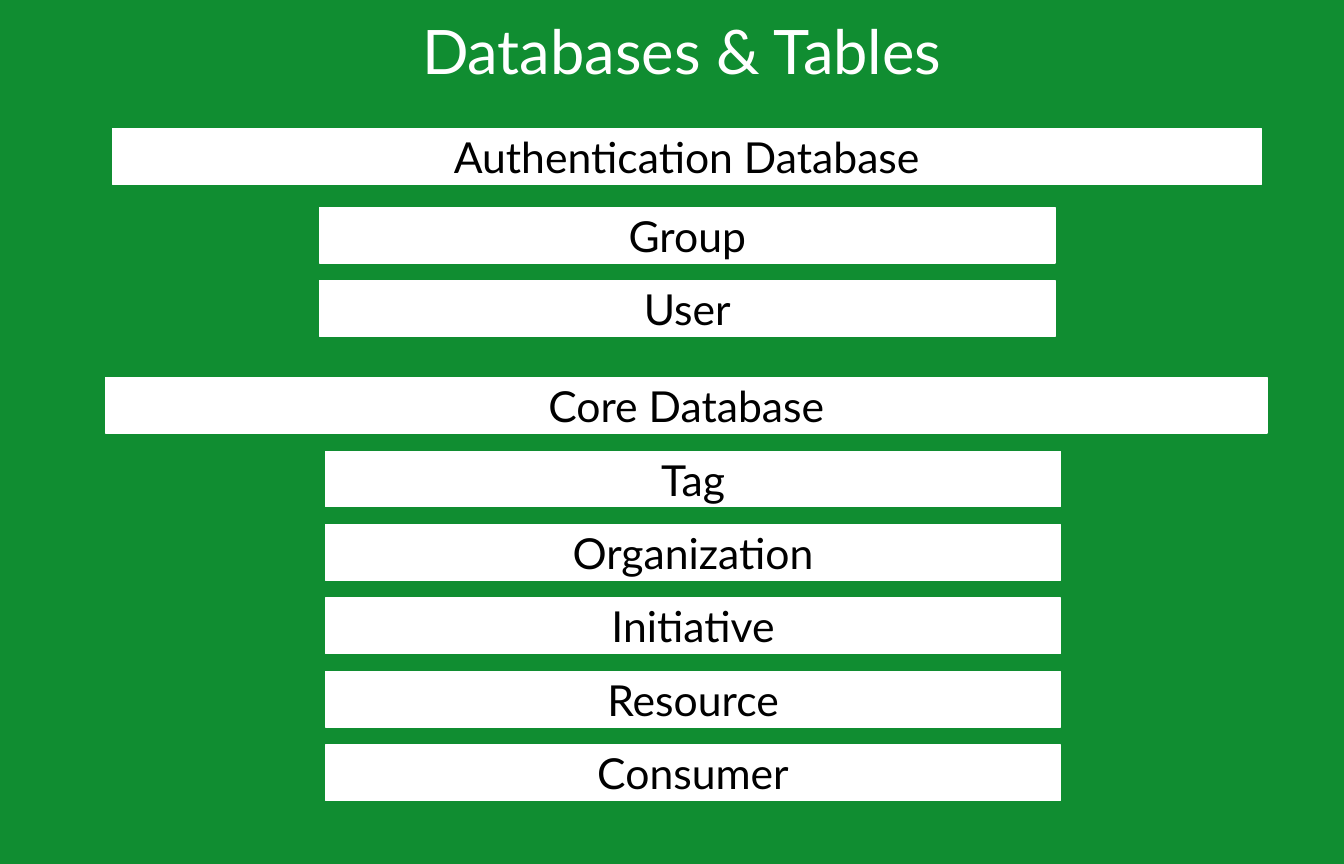
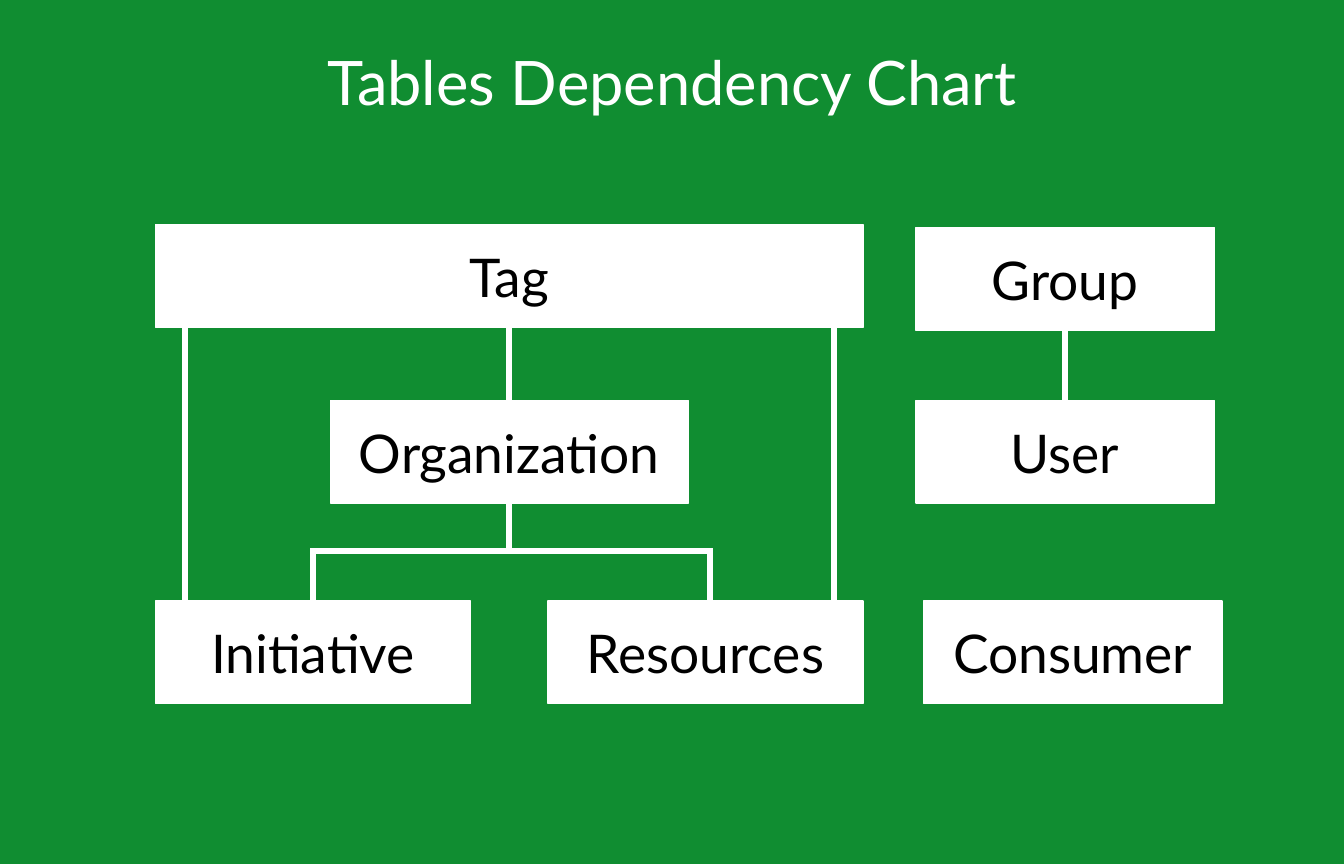
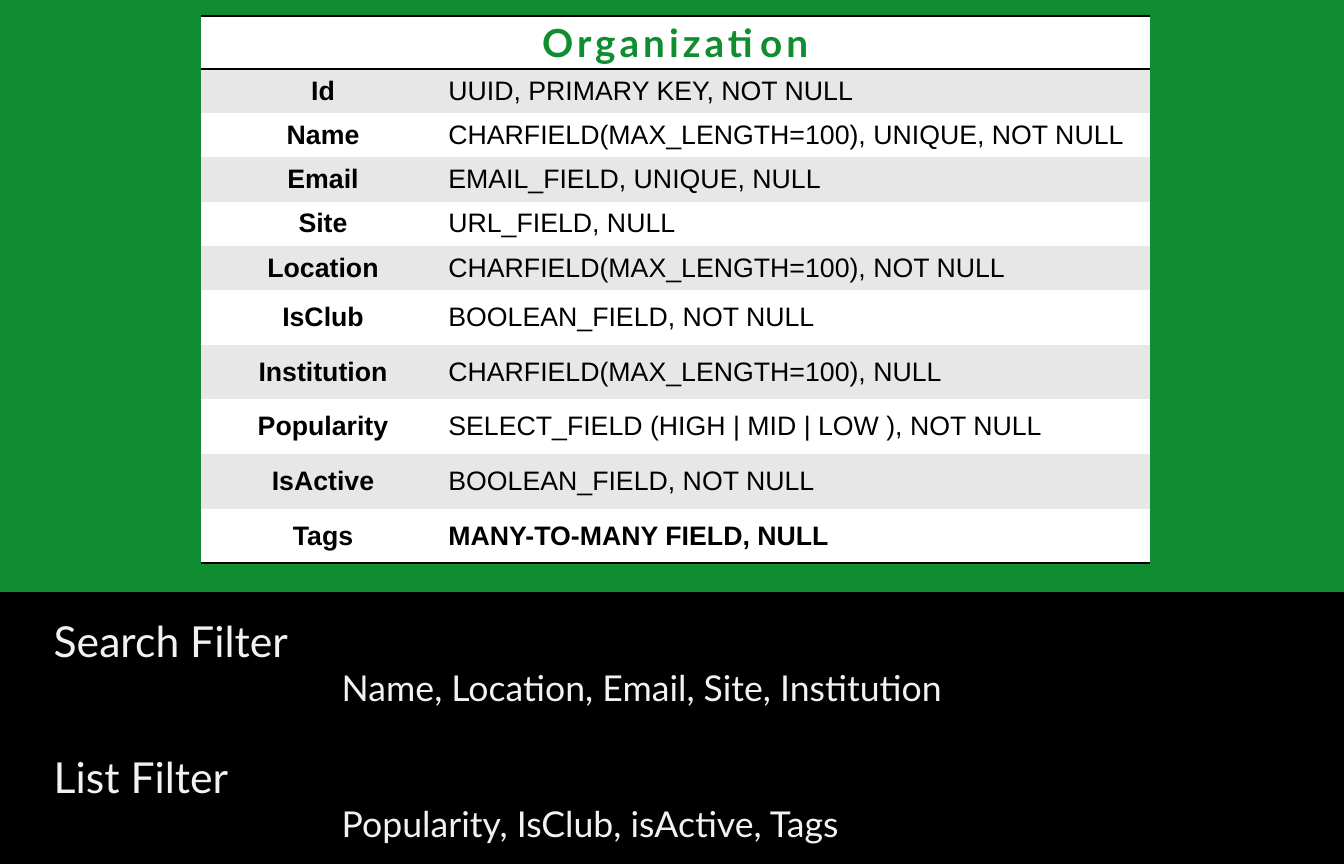
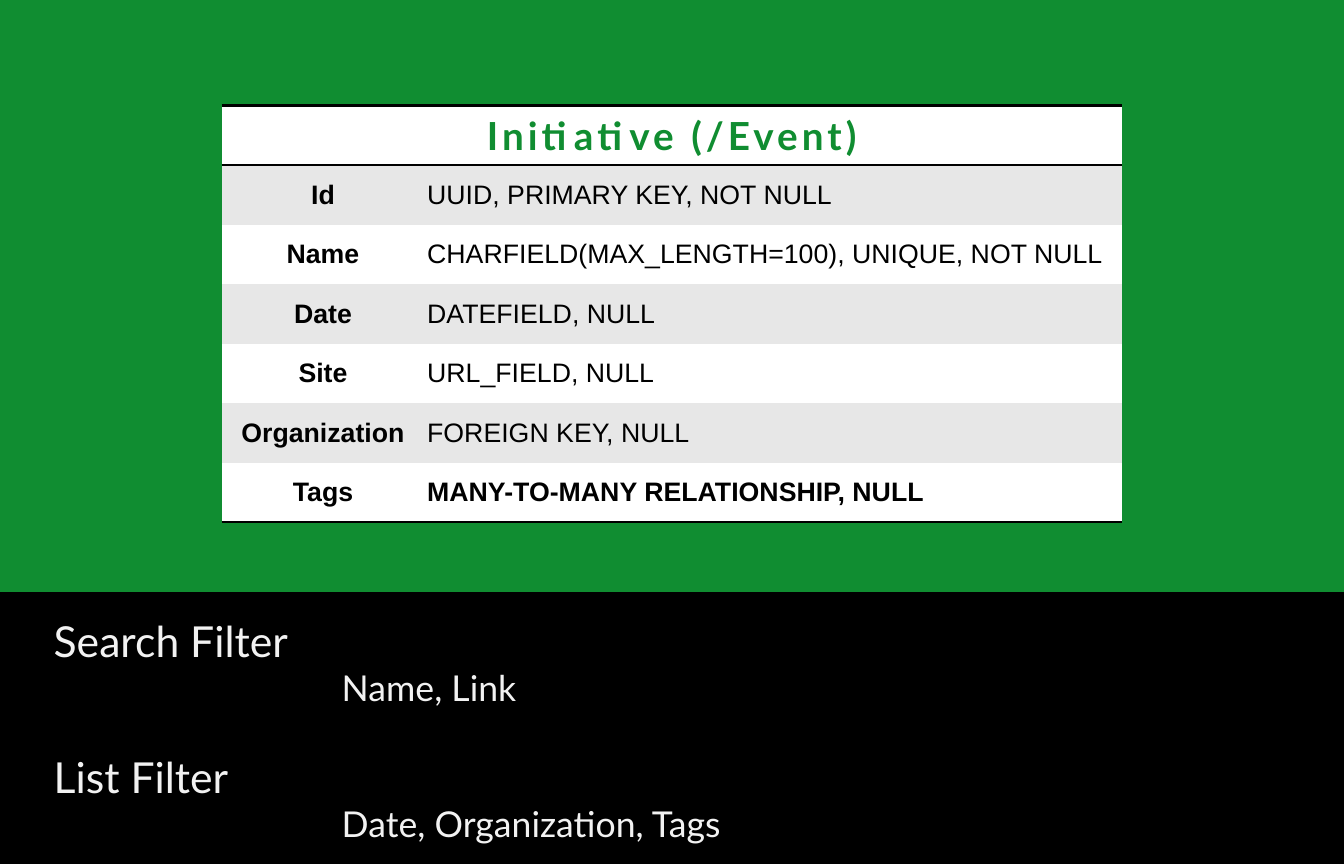
from lxml import etree
from pptx import Presentation
from pptx import util as u
from pptx.dml.color import RGBColor
from pptx.enum import shapes, text
from pptx.oxml.ns import qn

WIDE, HIGH = 14, 9
HUES = {
    "green": "108D31",
    "white": "FFFFFF",
    "black": "000000",
    "band": "E7E7E7",
    "pale": "F2F2F2",
}
SANS, GRID = "Lato", "Arial"
PLAIN = "{2D5ABB26-0587-4C30-8999-92F81FD0307C}"  # table style without grid
TITLE, BODY = 5, 1  # layouts with a title only, and with a body


def hue(name):
    return RGBColor.from_string(HUES[name])


def paint(fill, name):
    fill.solid()
    fill.fore_color.rgb = hue(name)


def inset(frame):
    frame.margin_left = frame.margin_right = u.Inches(0.03)
    frame.margin_top = frame.margin_bottom = u.Inches(0.02)


def place(shape, left, top, wide, high):
    shape.left, shape.top = u.Inches(left), u.Inches(top)
    shape.width, shape.height = u.Inches(wide), u.Inches(high)


def style(para, size, color, face=SANS, bold=False, align=text.PP_ALIGN.CENTER):
    para.alignment = align
    for run in para.runs:
        font = run.font
        font.name, font.size, font.bold = face, u.Pt(size), bold
        font.color.rgb = hue(color)


def add_title(slide, words, mid, top):
    """Write the title centred on mid."""
    title = slide.shapes.title
    place(title, mid - 5, top, 10, 0.81)
    frame = title.text_frame
    frame.text = words
    frame.auto_size = text.MSO_AUTO_SIZE.NONE
    inset(frame)
    style(frame.paragraphs[0], 46, "white")


def add_box(slide, left, top, wide, high, words="", size=32, color="white"):
    box = slide.shapes.add_shape(
        shapes.MSO_SHAPE.RECTANGLE, *map(u.Inches, (left, top, wide, high)))
    box.shadow.inherit = False
    paint(box.fill, color)
    box.line.color.rgb = hue(color)
    box.line.width = u.Pt(1)
    if words:
        frame = box.text_frame
        frame.text = words
        frame.vertical_anchor = text.MSO_ANCHOR.MIDDLE
        inset(frame)
        style(frame.paragraphs[0], size, "black")
    return box


def add_line(slide, x1, y1, x2, y2):
    line = slide.shapes.add_connector(
        shapes.MSO_CONNECTOR.STRAIGHT, *map(u.Inches, (x1, y1, x2, y2)))
    line.line.color.rgb = hue("white")
    line.line.width = u.Pt(4.5)
    etree.SubElement(line._element.spPr, qn("a:effectLst"))
    return line


def join(slide, upper, lower):
    """Tie the bottom of one box to the top of another."""
    line = add_line(slide, 0, 0, 1, 1)
    line.begin_connect(upper, 2)
    line.end_connect(lower, 0)


def add_stack(slide, head, bar, names, left, top):
    """Draw a database bar and its tables at an even pitch."""
    high, pitch = 0.58, 0.765
    add_box(slide, *bar, high, head)
    for row, name in enumerate(names):
        add_box(slide, left, top + row * pitch, 7.66, high, name)


def edge(cell, *sides):
    """Rule the given sides (T before B) in black."""
    props = cell._tc.get_or_add_tcPr()
    for spot, side in enumerate(sides):
        line = etree.Element(qn("a:ln" + side), w=str(u.Pt(2)))
        solid = etree.SubElement(line, qn("a:solidFill"))
        etree.SubElement(solid, qn("a:srgbClr"), val=HUES["black"])
        props.insert(spot, line)


def fill_cell(cell, words, back, **look):
    cell.text = words
    cell.vertical_anchor = text.MSO_ANCHOR.MIDDLE
    inset(cell)
    paint(cell.fill, back)
    style(cell.text_frame.paragraphs[0], **look)


def add_grid(slide, head, fields, left, top, cols, rows):
    """Draw a table of fields; the last row is bold and ruled."""
    frame = slide.shapes.add_table(
        len(rows), len(cols),
        *map(u.Inches, (left, top, sum(cols), sum(rows))))
    table = frame.table
    table._tbl.tblPr.find(qn("a:tableStyleId")).text = PLAIN
    for col, wide in zip(table.columns, cols):
        col.width = u.Inches(wide)
    for row, high in zip(table.rows, rows):
        row.height = u.Inches(high)

    first = table.cell(0, 0)
    first.merge(table.cell(0, 1))
    fill_cell(first, head, "white", size=29, color="green", bold=True)
    first.text_frame.paragraphs[0].runs[0].font._element.set("spc", "300")
    for num, (name, kind) in enumerate(fields, 1):
        back = "band" if num % 2 else "white"
        look = {"size": 20, "color": "black", "face": GRID}
        fill_cell(table.cell(num, 0), name, back, bold=True, **look)
        fill_cell(table.cell(num, 1), kind, back, bold=num == len(fields),
                  align=text.PP_ALIGN.LEFT, **look)
    for col in range(len(cols)):
        edge(table.cell(0, col), "T", "B")
        edge(table.cell(len(fields), col), "B")


def add_filters(slide, search, listed):
    """Draw the black band with the two filter lists."""
    add_box(slide, 0, 6.17, WIDE, HIGH - 6.17, color="black")
    body = slide.placeholders[1]
    place(body, 0.53, 6.38, 12.5, 2.46)
    slide.shapes._spTree.append(body._element)  # bring in front of the band
    frame = body.text_frame
    frame.text = "\n".join(("Search Filter", search, "List Filter", listed))
    frame.auto_size = text.MSO_AUTO_SIZE.NONE
    inset(frame)
    for num, para in enumerate(frame.paragraphs):
        deep = num % 2
        style(para, 26.7 if deep else 32, "pale", align=text.PP_ALIGN.LEFT)
        para.space_before = u.Pt(32 if num == 2 else 0)
        props = para._p.get_or_add_pPr()
        props.set("marL", str(u.Inches(3 * deep)))
        props.set("indent", "0")
        etree.SubElement(props, qn("a:buNone"))


def add_slide(deck, layout):
    return deck.slides.add_slide(deck.slide_layouts[layout])


def list_slide(deck):
    slide = add_slide(deck, TITLE)
    add_title(slide, "Databases & Tables", 7.1, 0.12)
    add_stack(slide, "Authentication Database", (1.17, 1.34, 11.97),
              ("Group", "User"), 3.33, 2.16)
    add_stack(slide, "Core Database", (1.1, 3.93, 12.1),
              ("Tag", "Organization", "Initiative", "Resource", "Consumer"),
              3.39, 4.7)


def tree_slide(deck):
    slide = add_slide(deck, TITLE)
    add_title(slide, "Tables Dependency Chart", WIDE / 2, 0.44)
    high = 1.07
    one, two, three = 2.34, 4.17, 6.26
    left, wide = 1.62, 7.37
    right, mid = left + wide, left + wide / 2
    leaf, side = 3.28, 3.11
    spots = {
        "Tag": (left, one, wide),
        "Organization": (mid - 3.73 / 2, two, 3.73),
        "Resources": (right - leaf, three, leaf),
        "Initiative": (left, three, leaf),
        "Consumer": (9.62, three, side),
        "Group": (9.54, one + 0.03, side),
        "User": (9.54, two, side),
    }
    boxes = {name: add_box(slide, *spot, high, name, 40)
             for name, spot in spots.items()}
    join(slide, boxes["Tag"], boxes["Organization"])
    join(slide, boxes["Group"], boxes["User"])
    for x in (left + 0.31, right - 0.3):
        add_line(slide, x, one + high, x, three)

    fork, ends = 5.74, (3.26, 7.4)
    add_line(slide, mid, two + high, mid, fork)
    add_line(slide, ends[0] - 0.03, fork, ends[1] + 0.03, fork)
    for x in ends:
        add_line(slide, x, fork, x, three)


def field_slide(deck, grid, search, listed):
    slide = add_slide(deck, BODY)
    title = slide.shapes.title._element
    title.getparent().remove(title)
    add_grid(slide, **grid)
    add_filters(slide, search, listed)


def main():
    deck = Presentation()
    deck.slide_width, deck.slide_height = u.Inches(WIDE), u.Inches(HIGH)
    paint(deck.slide_master.background.fill, "green")

    list_slide(deck)
    tree_slide(deck)
    key = ("Id", "UUID, PRIMARY KEY, NOT NULL")
    name = ("Name", "CHARFIELD(MAX_LENGTH=100), UNIQUE, NOT NULL")
    site = ("Site", "URL_FIELD, NULL")
    field_slide(deck, {
        "head": "Organization",
        "fields": (
            key,
            name,
            ("Email", "EMAIL_FIELD, UNIQUE, NULL"),
            site,
            ("Location", "CHARFIELD(MAX_LENGTH=100), NOT NULL"),
            ("IsClub", "BOOLEAN_FIELD, NOT NULL"),
            ("Institution", "CHARFIELD(MAX_LENGTH=100), NULL"),
            ("Popularity", "SELECT_FIELD (HIGH | MID | LOW ), NOT NULL"),
            ("IsActive", "BOOLEAN_FIELD, NOT NULL"),
            ("Tags", "MANY-TO-MANY FIELD, NULL"),
        ),
        "left": 2.09, "top": 0.17, "cols": (2.55, 7.34),
        "rows": [0.55] + [0.46] * 5 + [0.57] * 5,
    }, "Name, Location, Email, Site, Institution",
        "Popularity, IsClub, isActive, Tags")
    field_slide(deck, {
        "head": "Initiative (/Event)",
        "fields": (
            key,
            name,
            ("Date", "DATEFIELD, NULL"),
            site,
            ("Organization", "FOREIGN KEY, NULL"),
            ("Tags", "MANY-TO-MANY RELATIONSHIP, NULL"),
        ),
        "left": 2.31, "top": 1.1, "cols": (2.11, 7.27),
        "rows": [0.62] * 7,
    }, "Name, Link", "Date, Organization, Tags")
    deck.save("out.pptx")


if __name__ == "__main__":
    main()
